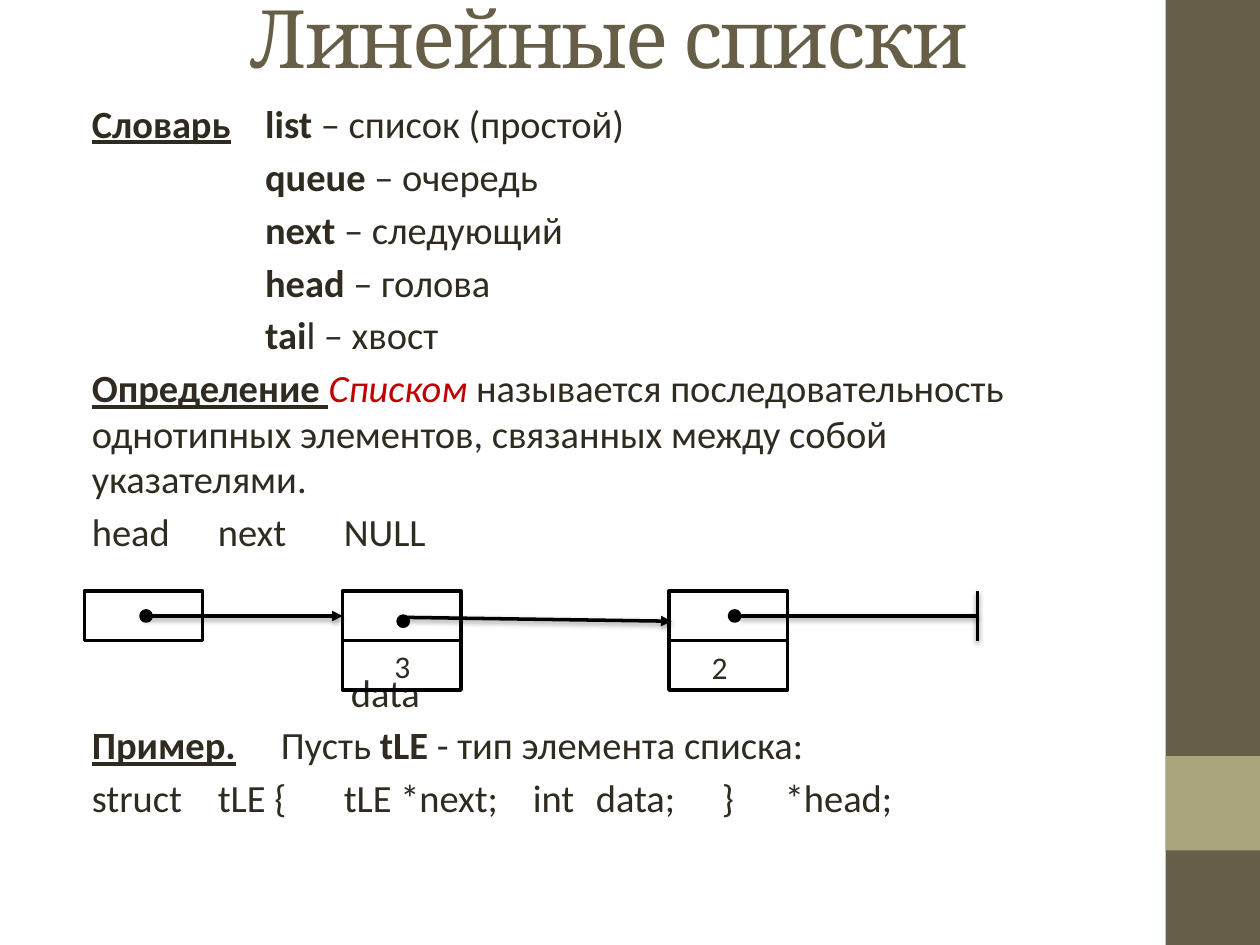
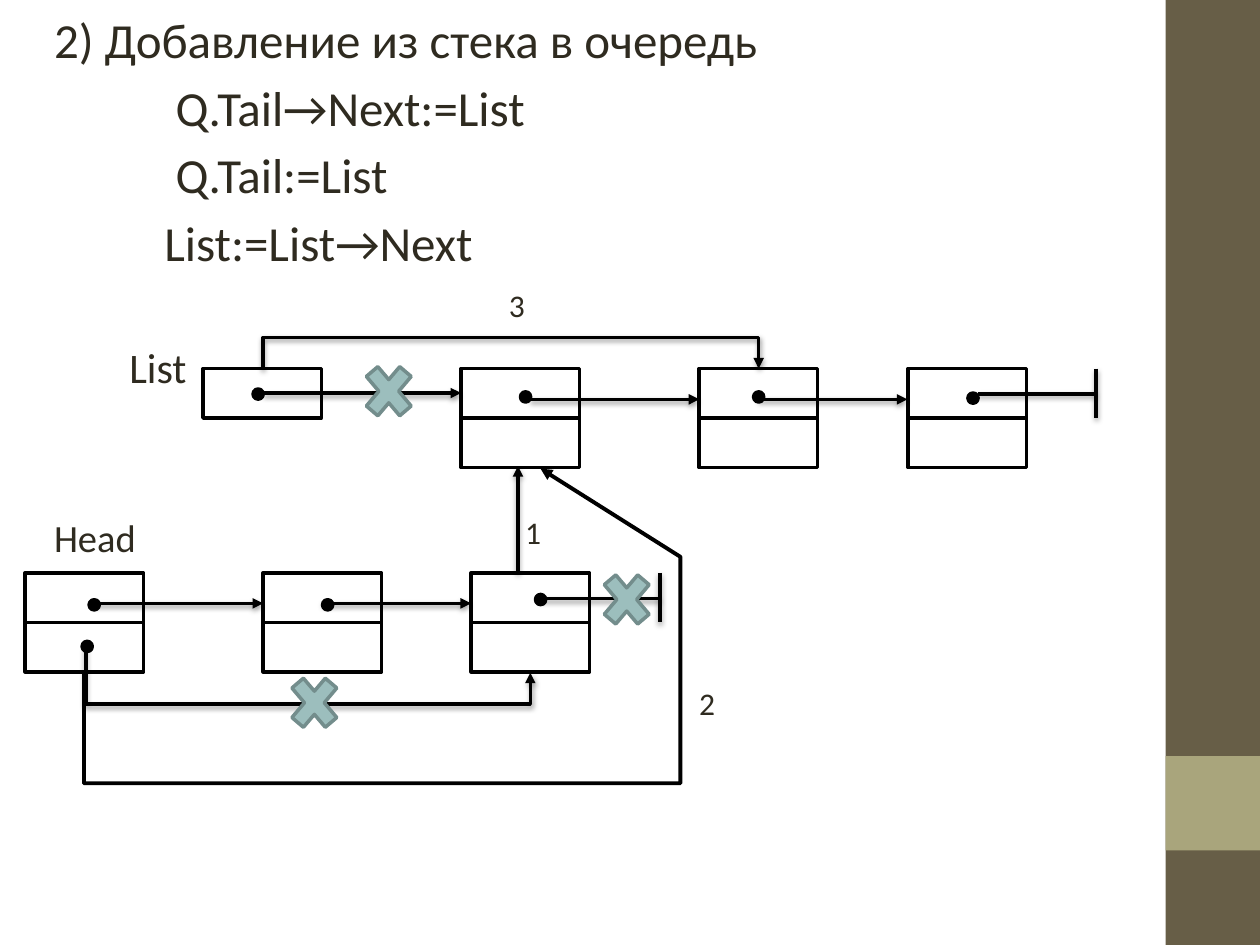
from dataclasses import dataclass

from lxml import etree
from pptx import Presentation
from pptx.dml.color import RGBColor
from pptx.enum.shapes import MSO_CONNECTOR, MSO_SHAPE
from pptx.enum.text import MSO_ANCHOR, MSO_AUTO_SIZE, PP_ALIGN
from pptx.oxml.ns import qn
from pptx.util import Pt

RECTANGLE, OVAL, CROSS = MSO_SHAPE.RECTANGLE, MSO_SHAPE.OVAL, MSO_SHAPE.MATH_MULTIPLY
STRAIGHT = MSO_CONNECTOR.STRAIGHT
CENTER, TOP, MIDDLE = PP_ALIGN.CENTER, MSO_ANCHOR.TOP, MSO_ANCHOR.MIDDLE
NO_FIT = MSO_AUTO_SIZE.NONE


@dataclass(frozen=True)
class Theme:
    ink: str = "2F2B20"
    accent: str = "675E47"
    band: str = "A9A57C"
    term: str = "C00000"
    stroke: str = "000000"
    cross: str = "9CBEBD"
    cross_edge: str = "738D8C"
    title_font: str = "Cambria"
    body_font: str = "Calibri"
    title_size: float = 46
    large_size: float = 28
    medium_size: float = 24
    text_size: float = 22
    label_size: float = 18
    line_width: float = 2
    line_spacing: float = 0.98


@dataclass(frozen=True)
class Line:
    """A paragraph: runs are (text, style) pairs, lengths are points."""
    runs: tuple
    size: float
    before: float
    margin: float = 0
    indent: float = 0
    tabs: tuple = ()


@dataclass(frozen=True)
class Node:
    left: float
    top: float
    cells: int = 2


@dataclass(frozen=True)
class Arrow:
    points: tuple
    head: bool = True
    shadow: bool = True
    width: float = 2


@dataclass(frozen=True)
class Label:
    text: str
    left: float
    top: float
    width: float


THEME = Theme()
STYLES = {
    "plain": {},
    "bold": {"bold": True},
    "heading": {"bold": True, "underline": True},
    "term": {"italic": True},
}
CELL_WIDTH, CELL_HEIGHT = 67.7, 28.3
DOT = 5.8
CROSS_WIDTH, CROSS_HEIGHT = 36.7, 43.2
BODY_INSETS = {"margin_left": Pt(16.5), "margin_right": Pt(7.2),
               "margin_top": Pt(3.6), "margin_bottom": Pt(3.6)}


def color(value: str) -> RGBColor:
    return RGBColor.from_string(value)


def apply(target, values: dict) -> None:
    for name, value in values.items():
        setattr(target, name, value)


def place(shape, left: float, top: float, width: float, height: float) -> None:
    apply(shape, {"left": Pt(left), "top": Pt(top), "width": Pt(width), "height": Pt(height)})


def add_run(paragraph, text: str, font: str, size: float, ink: str, style: dict):
    run = paragraph.add_run()
    run.text = text
    apply(run.font, {"name": font, "size": Pt(size), **style})
    run.font.color.rgb = color(ink)
    return run


# Text
def fill_title(shape, text: str) -> None:
    place(shape, 48, -8, 600, 57)
    apply(shape.text_frame, {"auto_size": NO_FIT, "vertical_anchor": MIDDLE, "word_wrap": True})
    paragraph = shape.text_frame.paragraphs[0]
    paragraph.alignment = CENTER
    run = add_run(paragraph, text, THEME.title_font, THEME.title_size, THEME.accent, {})
    run.font._element.set("spc", "-100")


def fill_body(shape, box: tuple, lines: list) -> None:
    place(shape, *box)
    frame = shape.text_frame
    apply(frame, {"auto_size": NO_FIT, "vertical_anchor": TOP, "word_wrap": True, **BODY_INSETS})
    for index, line in enumerate(lines):
        paragraph = frame.add_paragraph() if index else frame.paragraphs[0]
        apply(paragraph, {"space_before": Pt(line.before), "line_spacing": THEME.line_spacing})
        properties = paragraph._p.get_or_add_pPr()
        properties.set("marL", str(Pt(line.margin)))
        properties.set("indent", str(Pt(line.indent)))
        etree.SubElement(properties, qn("a:buNone"))
        if line.tabs:
            tab_list = etree.SubElement(properties, qn("a:tabLst"))
            for position in line.tabs:
                etree.SubElement(tab_list, qn("a:tab"), pos=str(Pt(position)), algn="l")
        for text, style in line.runs:
            ink = THEME.term if style == "term" else THEME.ink
            add_run(paragraph, text, THEME.body_font, line.size, ink, STYLES[style])


def draw_label(slide, label: Label) -> None:
    shape = slide.shapes.add_textbox(Pt(label.left), Pt(label.top), Pt(label.width), Pt(29))
    shape.text_frame.word_wrap = True
    add_run(shape.text_frame.paragraphs[0], label.text, THEME.body_font,
            THEME.label_size, THEME.ink, {})


# Shapes
def draw_shape(slide, kind, box: tuple, fill: str = "", line: str = ""):
    shape = slide.shapes.add_shape(kind, *map(Pt, box))
    shape.shadow.inherit = False
    if fill:
        shape.fill.solid()
        shape.fill.fore_color.rgb = color(fill)
    else:
        shape.fill.background()
    if line:
        shape.line.color.rgb = color(line)
        shape.line.width = Pt(THEME.line_width)
    else:
        shape.line.fill.background()
    return shape


def draw_node(slide, node: Node) -> None:
    for row in range(node.cells):
        box = (node.left, node.top + row * CELL_HEIGHT, CELL_WIDTH, CELL_HEIGHT)
        draw_shape(slide, RECTANGLE, box, line=THEME.stroke)


def draw_dot(slide, x: float, y: float) -> None:
    draw_shape(slide, OVAL, (x - DOT / 2, y - DOT / 2, DOT, DOT), THEME.stroke, THEME.stroke)


def draw_cross(slide, left: float, top: float) -> None:
    box = (left, top, CROSS_WIDTH, CROSS_HEIGHT)
    draw_shape(slide, CROSS, box, THEME.cross, THEME.cross_edge).adjustments[0] = 0.235


def draw_arrow(slide, arrow: Arrow) -> None:
    points = [(Pt(x), Pt(y)) for x, y in arrow.points]
    if len(points) == 2:
        shape = slide.shapes.add_connector(STRAIGHT, *points[0], *points[1])
    else:
        builder = slide.shapes.build_freeform(*points[0])
        builder.add_line_segments(points[1:], close=False)
        shape = builder.convert_to_shape()
        shape.fill.background()
    shape.line.color.rgb = color(THEME.stroke)
    shape.line.width = Pt(arrow.width)
    if arrow.head:
        etree.SubElement(shape.line._get_or_add_ln(), qn("a:tailEnd"), type="triangle")
    effects = etree.SubElement(shape.element.spPr, qn("a:effectLst"))
    if arrow.shadow:
        shadow = etree.SubElement(effects, qn("a:outerShdw"), blurRad=str(Pt(3.1)),
                                  dist=str(Pt(1.6)), dir="5400000", rotWithShape="0")
        ink = etree.SubElement(shadow, qn("a:srgbClr"), val=THEME.stroke)
        etree.SubElement(ink, qn("a:alpha"), val="38000")


def draw_diagram(slide, nodes=(), arrows=(), crosses=(), dots=(), labels=()) -> None:
    for node in nodes:
        draw_node(slide, node)
    for arrow in arrows:
        draw_arrow(slide, arrow)
    for cross in crosses:
        draw_cross(slide, *cross)
    for dot in dots:
        draw_dot(slide, *dot)
    for label in labels:
        draw_label(slide, label)


def add_master_bands(presentation, slide) -> None:
    """Draw the side bands and move them to the back of the slide master."""
    tree = presentation.slide_master.shapes.element
    bands = (((666, 0, 54, 540), THEME.accent), ((666, 432, 54, 54), THEME.band))
    for index, (box, fill) in enumerate(bands):
        tree.insert(2 + index, draw_shape(slide, RECTANGLE, box, fill).element)


# Slides
def build_linear_lists(slide) -> None:
    size, gap = THEME.text_size, 4.4
    words = [("queue", " – очередь"), ("next", " – следующий"),
             ("head", " – голова"), ("tai", "l – хвост")]
    lines = [
        Line((("Словарь", "heading"), ("\t", "plain"), ("list", "bold"),
              (" – список (простой)", "plain")), size, gap, 99, -99),
        *(Line(((word, "bold"), (meaning, "plain")), size, gap, 99) for word, meaning in words),
        Line((("Определение ", "heading"), ("Списком", "term"),
              (" называется последовательность однотипных элементов, "
               "связанных между собой указателями.", "plain")), size, gap),
        Line((("head\tnext\tNULL", "plain"),), size, gap, tabs=(158, 479.5)),
        Line((("data", "plain"),), size, 66, 148),
        Line((("Пример.", "heading"), ("\tПусть", "plain"), (" tLE ", "bold"),
              ("- тип элемента списка:", "plain")), size, gap, tabs=(97,)),
        Line((("struct\ttLE {\ttLE *next;\tint\tdata;\t}\t*head;", "plain"),), size, gap,
             tabs=(66.5, 135, 247.5, 286.5, 358, 374.5)),
    ]
    fill_title(slide.shapes.title, "Линейные списки")
    fill_body(slide.placeholders[1], (36, 54.7, 600, 471), lines)
    top = 337.8
    draw_diagram(
        slide,
        nodes=(Node(48.2, top, 1), Node(195.8, top), Node(382.3, top)),
        arrows=(Arrow(((82, 352), (195.8, 352))),
                Arrow(((232.6, 352.8), (383.8, 355))),
                Arrow(((422.6, 352), (558.7, 352)), head=False),
                Arrow(((558.7, top), (558.7, top + CELL_HEIGHT)), head=False)),
        dots=((83.5, 352), (230.4, 355), (419.8, 352)),
        labels=(Label("3", 218.2, 366, 34), Label("2", 399.6, 366.5, 34)),
    )


def build_stack_to_queue(slide) -> None:
    large, gap = THEME.large_size, 5.6
    title = slide.shapes.title.element
    title.getparent().remove(title)
    lines = [
        Line((("2) Добавление из стека в очередь", "plain"),), large, gap),
        Line((("Q.Tail→Next:=List", "plain"),), large, gap, 69.5),
        Line((("Q.Tail:=List", "plain"),), large, gap, 69.5),
        Line((("List:=List→Next", "plain"),), large, gap, 63),
        Line((("List", "plain"),), THEME.medium_size, 40.5, 43),
        Line((("Head", "plain"),), THEME.text_size, 70.6),
    ]
    fill_body(slide.placeholders[1], (14.4, 3.6, 623.5, 499), lines)
    stack, queue = 210.6, 327.4
    draw_diagram(
        slide,
        nodes=(Node(116, stack, 1), Node(263.5, stack), Node(399.6, stack), Node(519, stack),
               Node(14.4, queue), Node(150.4, queue), Node(269.2, queue)),
        arrows=(
            # Links of the stack
            Arrow(((150.4, 224.6), (263.5, 224.6))),
            Arrow(((303, 228.2), (399.6, 228.2))),
            Arrow(((433.5, 228.2), (518.5, 228.2))),
            Arrow(((558.7, 225.2), (626.4, 225.2)), head=False),
            Arrow(((626.4, stack), (626.4, stack + CELL_HEIGHT)), head=False),
            # Links of the queue
            Arrow(((54, 344.8), (150.4, 344.8))),
            Arrow(((184.3, 344.8), (269.2, 344.8))),
            Arrow(((309, 342), (377.2, 342)), head=False),
            Arrow(((377.2, queue), (377.2, queue + CELL_HEIGHT)), head=False),
            Arrow(((49, 370), (49, 402.3), (303, 402.3), (303, 384.4))),
            # Steps 1, 2 and 3
            Arrow(((296, 327), (296, 266.4))),
            Arrow(((48, 384), (48, 447.6), (388.8, 447.6), (388.8, 318.2), (308.9, 267.8)),
                  shadow=False, width=2.25),
            Arrow(((150.4, stack), (150.4, 192.8), (433.5, 192.8), (433.5, stack))),
        ),
        crosses=((203.8, 202), (339.8, 321), (161.3, 380)),
        dots=((53.8, 345.6), (187.2, 345.6), (308.9, 342.6), (49.8, 369.4),
              (147.5, 225.2), (300.3, 226.8), (433.5, 226.8), (556, 227.5)),
        labels=(Label("3", 283.7, 159.8, 25), Label("1", 293, 289.4, 25),
                Label("2", 392.4, 387.4, 25)),
    )


def main() -> None:
    presentation = Presentation()
    apply(presentation, {"slide_width": Pt(720), "slide_height": Pt(540)})
    for number, build in enumerate((build_linear_lists, build_stack_to_queue)):
        slide = presentation.slides.add_slide(presentation.slide_layouts[1])
        if number == 0:
            add_master_bands(presentation, slide)
        build(slide)
    presentation.save("out.pptx")


if __name__ == "__main__":
    main()
